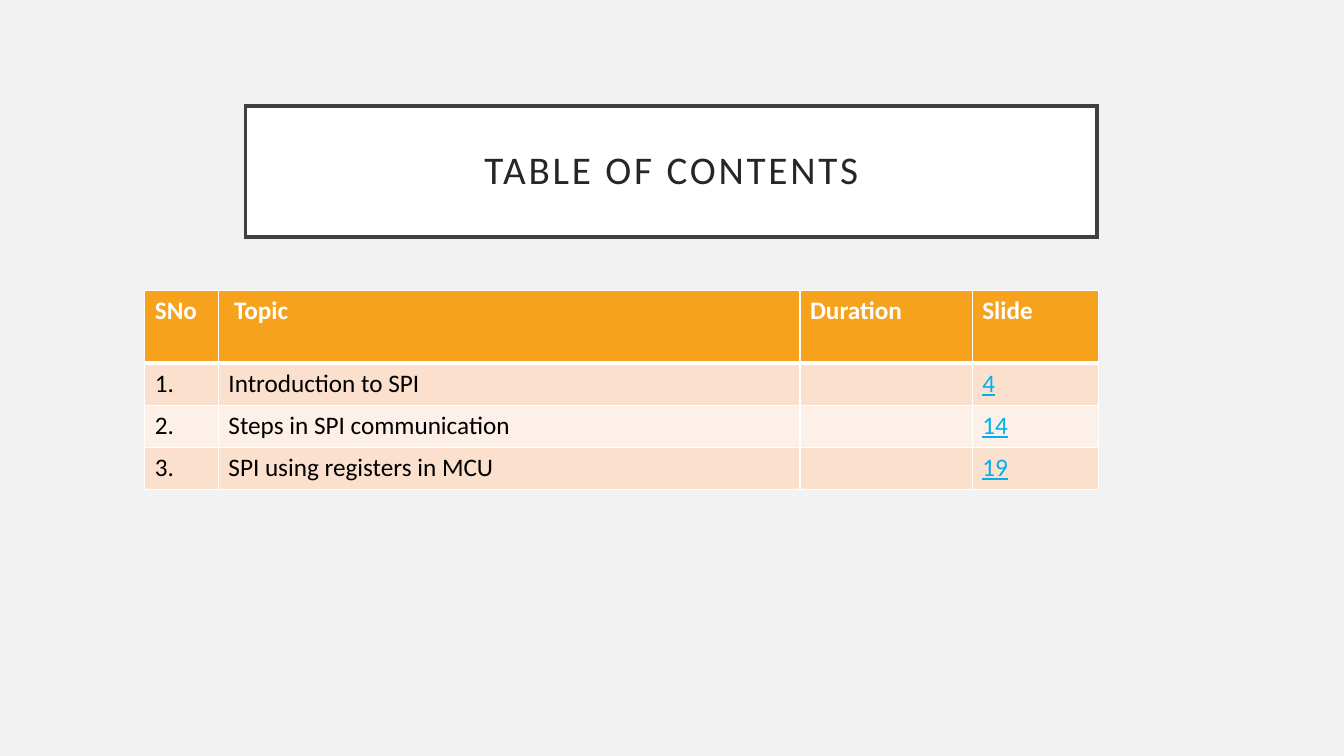
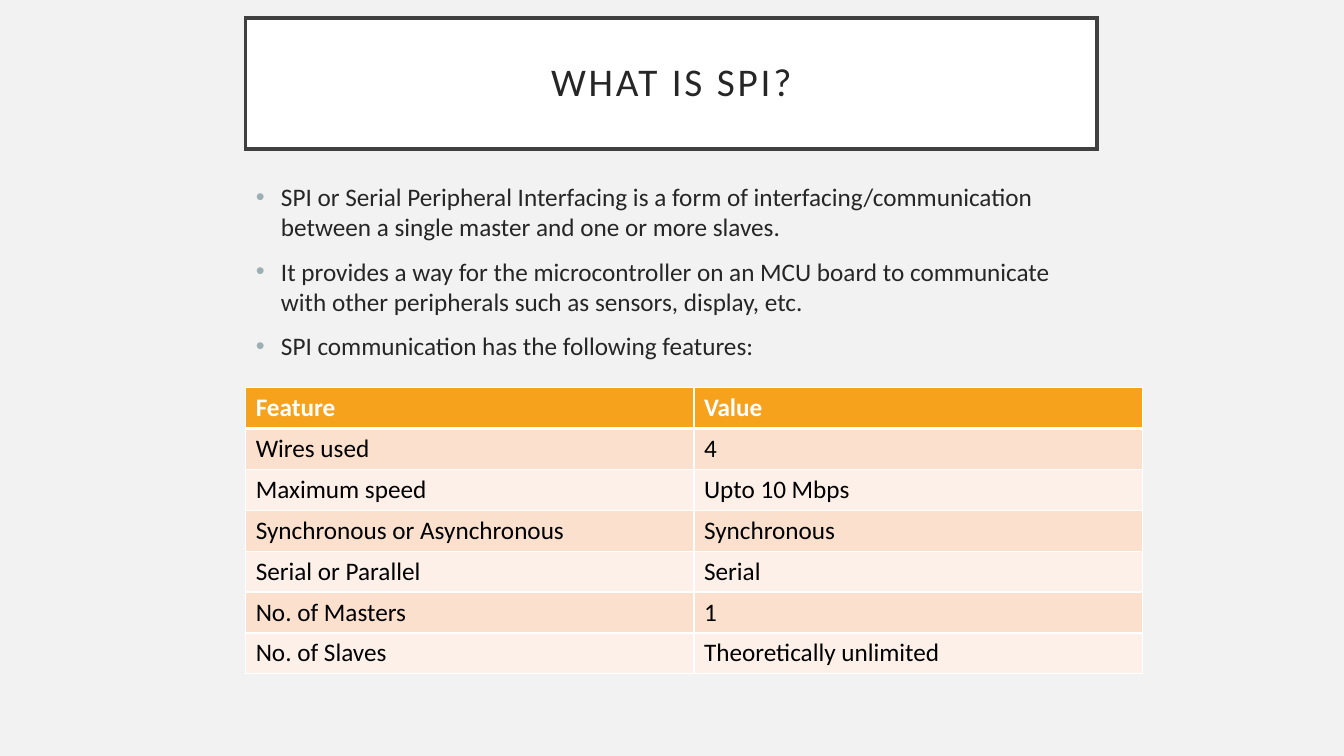
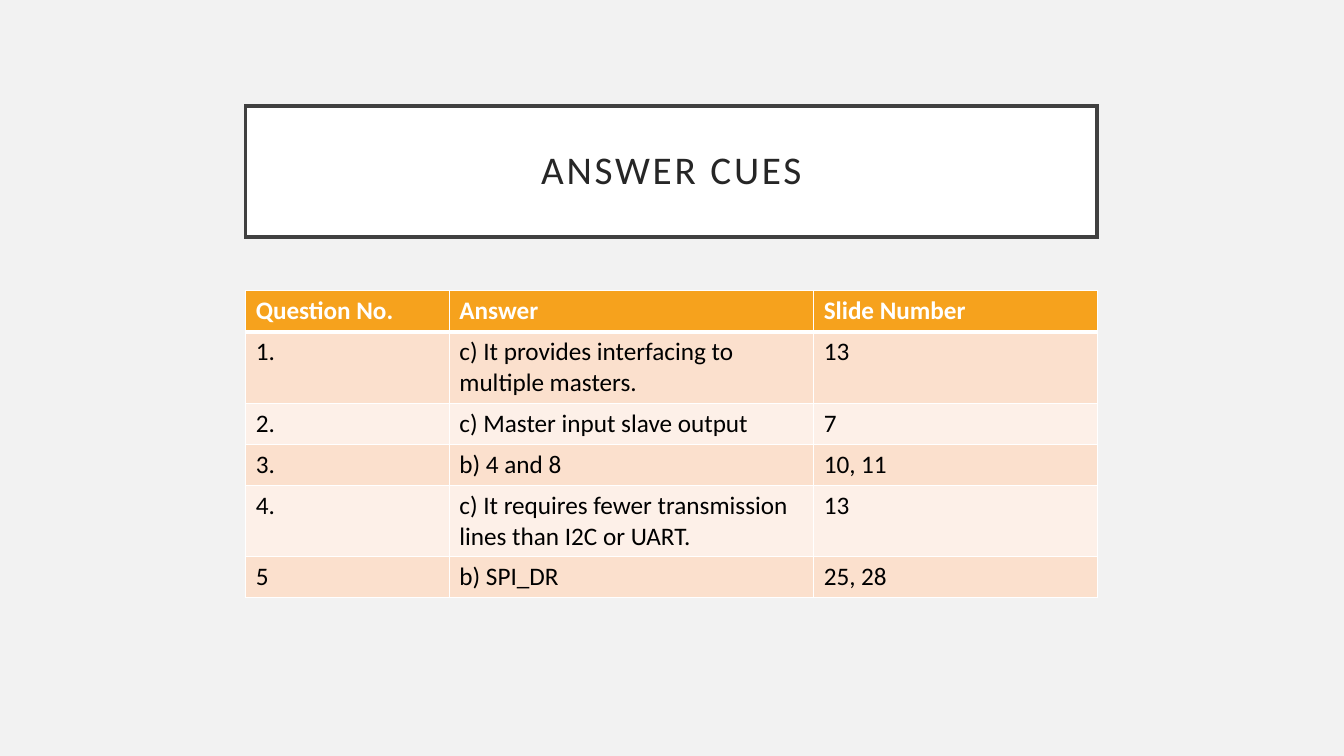
from dataclasses import dataclass
from typing import Any, Optional

from lxml import etree
from pptx import Presentation
from pptx import util as u
from pptx.dml.color import RGBColor
from pptx.enum import text
from pptx.oxml import ns

EMU_PER_PX = 9525


# Theme and content types
@dataclass(frozen=True)
class Theme:
    font: str = "Calibri"
    bullet_font: str = "Arial"
    background: str = "F2F2F2"
    white: str = "FFFFFF"
    frame: str = "404040"
    ink: str = "262626"
    cell_ink: str = "000000"
    bullet: str = "9BAFB5"
    header: str = "F6A21D"
    bands: tuple[str, str] = ("FBE0CD", "FDF0E8")
    page_ref: str = "00B0F0"
    title_size: int = 28
    body_size: int = 18
    title_tracking: int = 2
    frame_width: float = 2.5
    rule: int = 1
    header_rule: int = 3


@dataclass(frozen=True)
class Box:
    left: int
    top: int
    width: int
    height: int


@dataclass(frozen=True)
class Grid:
    left: int
    top: int
    columns: tuple[int, ...]
    rows: tuple[tuple[str, ...], ...]
    header_height: int = 39
    row_height: int = 39
    page_ref_column: Optional[int] = None


@dataclass(frozen=True)
class Page:
    title: str
    grid: Grid
    title_top: int = 101
    points: tuple[str, ...] = ()


THEME = Theme()
LEFT, WIDTH = 234, 811
TITLE_HEIGHT, TITLE_INSET = 125, 19
POINTS_BOX = Box(LEFT, 168, WIDTH, 325)
POINT_INDENT = 24


# Content
PAGES = (
    Page(
        "TABLE OF CONTENTS",
        Grid(138, 277, (70, 554, 164, 120), (
            ("SNo", " Topic", "Duration", "Slide"),
            ("1.", "Introduction to SPI", "", "4"),
            ("2.", "Steps in SPI communication", "", "14"),
            ("3.", "SPI using registers in MCU", "", "19"),
        ), header_height=69, row_height=40, page_ref_column=3),
    ),
    Page(
        "WHAT IS SPI?",
        Grid(LEFT, 369, (427, 427), (
            ("Feature", "Value"),
            ("Wires used", "4"),
            ("Maximum speed", "Upto 10 Mbps"),
            ("Synchronous or Asynchronous", "Synchronous"),
            ("Serial or Parallel", "Serial"),
            ("No. of Masters", "1"),
            ("No. of Slaves", "Theoretically unlimited"),
        )),
        title_top=17,
        points=(
            "SPI or Serial Peripheral Interfacing is a form of interfacing/communication "
            "between a single master and one or more slaves.",
            "It provides a way for the microcontroller on an MCU board to communicate "
            "with other peripherals such as sensors, display, etc.",
            "SPI communication has the following features:",
        ),
    ),
    Page(
        "ANSWER CUES",
        Grid(LEFT, 277, (194, 347, 270), (
            ("Question No.", "Answer", "Slide Number"),
            ("1.", "c) It provides interfacing to multiple masters.", "13"),
            ("2.", "c) Master input slave output", "7"),
            ("3.", "b) 4 and 8", "10, 11"),
            ("4.", "c) It requires fewer transmission lines than I2C or UART.", "13"),
            ("5", "b) SPI_DR", "25, 28"),
        )),
    ),
)


# Helpers
def px(length: int) -> u.Emu:
    return u.Emu(length * EMU_PER_PX)


def rgb(color: str) -> RGBColor:
    return RGBColor.from_string(color)


def place(shape: Any, box: Box) -> None:
    shape.left, shape.top = px(box.left), px(box.top)
    shape.width, shape.height = px(box.width), px(box.height)


def write(paragraph: Any, wording: str, *, color: str, size: int = THEME.body_size,
          bold: bool = False, underline: bool = False, tracking: int = 0,
          align: text.PP_ALIGN = text.PP_ALIGN.LEFT, line_spacing: float = 1.0,
          space_before: int = 0) -> None:
    paragraph.alignment = align
    paragraph.line_spacing = line_spacing
    paragraph.space_before = u.Pt(space_before)
    run = paragraph.add_run()
    run.text = wording
    font = run.font
    font.name, font.size = THEME.font, u.Pt(size)
    font.bold, font.underline = bold, underline
    font.color.rgb = rgb(color)
    if tracking:
        run._r.get_or_add_rPr().set("spc", str(tracking * 100))


def add_bullet(paragraph: Any) -> None:
    properties = paragraph._p.get_or_add_pPr()
    properties.set("marL", str(px(POINT_INDENT)))
    properties.set("indent", str(-px(POINT_INDENT)))
    tint = etree.SubElement(properties, ns.qn("a:buClr"))
    etree.SubElement(tint, ns.qn("a:srgbClr"), val=THEME.bullet)
    etree.SubElement(properties, ns.qn("a:buFont"), typeface=THEME.bullet_font)
    etree.SubElement(properties, ns.qn("a:buChar"), char="•")


def add_borders(cell: Any, top: int, bottom: int) -> None:
    properties = cell._tc.get_or_add_tcPr()
    widths = {"L": THEME.rule, "R": THEME.rule, "T": top, "B": bottom}
    for side, width in widths.items():
        edge = etree.SubElement(properties, ns.qn(f"a:ln{side}"), w=str(u.Pt(width)))
        fill = etree.SubElement(edge, ns.qn("a:solidFill"))
        etree.SubElement(fill, ns.qn("a:srgbClr"), val=THEME.white)


# Slide parts
def draw_title(title: Any, wording: str, top: int) -> None:
    place(title, Box(LEFT, top, WIDTH, TITLE_HEIGHT))
    title.fill.solid()
    title.fill.fore_color.rgb = rgb(THEME.white)
    title.line.color.rgb = rgb(THEME.frame)
    title.line.width = u.Pt(THEME.frame_width)
    outline = title._element.spPr.find(ns.qn("a:ln"))
    etree.SubElement(outline, ns.qn("a:miter"), lim="800000")
    frame = title.text_frame
    frame.auto_size = text.MSO_AUTO_SIZE.NONE
    frame.vertical_anchor = text.MSO_ANCHOR.MIDDLE
    frame.margin_left = frame.margin_right = px(TITLE_INSET)
    frame.margin_top = frame.margin_bottom = px(TITLE_INSET)
    write(frame.paragraphs[0], wording, color=THEME.ink, size=THEME.title_size,
          tracking=THEME.title_tracking, align=text.PP_ALIGN.CENTER, line_spacing=0.9)


def draw_points(body: Any, points: tuple[str, ...]) -> None:
    place(body, POINTS_BOX)
    frame = body.text_frame
    frame.auto_size = text.MSO_AUTO_SIZE.NONE
    frame.vertical_anchor = text.MSO_ANCHOR.TOP
    for index, point in enumerate(points):
        paragraph = frame.add_paragraph() if index else frame.paragraphs[0]
        write(paragraph, point, color=THEME.ink, space_before=10)
        add_bullet(paragraph)


def draw_cell(cell: Any, wording: str, row: int, is_page_ref: bool) -> None:
    is_header = row == 0
    add_borders(cell, top=THEME.header_rule if row == 1 else THEME.rule,
                bottom=THEME.header_rule if is_header else THEME.rule)
    cell.fill.solid()
    cell.fill.fore_color.rgb = rgb(THEME.header if is_header else THEME.bands[(row - 1) % 2])
    if not wording:
        return
    is_page_ref = is_page_ref and not is_header
    color = THEME.white if is_header else THEME.page_ref if is_page_ref else THEME.cell_ink
    write(cell.text_frame.paragraphs[0], wording, color=color, bold=is_header,
          underline=is_page_ref)


def draw_grid(slide: Any, grid: Grid) -> None:
    heights = [grid.header_height] + [grid.row_height] * (len(grid.rows) - 1)
    table = slide.shapes.add_table(
        len(heights), len(grid.columns), px(grid.left), px(grid.top),
        px(sum(grid.columns)), px(sum(heights))).table
    for column, width in zip(table.columns, grid.columns):
        column.width = px(width)
    for row, (height, wordings) in enumerate(zip(heights, grid.rows)):
        table.rows[row].height = px(height)
        for column, wording in enumerate(wordings):
            draw_cell(table.cell(row, column), wording, row, column == grid.page_ref_column)


# Presentation
def main() -> None:
    deck = Presentation()
    deck.slide_width, deck.slide_height = px(1280), px(720)
    background = deck.slide_master.background.fill
    background.solid()
    background.fore_color.rgb = rgb(THEME.background)
    title_and_content = deck.slide_layouts.get_by_name("Title and Content")
    title_only = deck.slide_layouts.get_by_name("Title Only")

    for page in PAGES:
        slide = deck.slides.add_slide(title_and_content if page.points else title_only)
        draw_title(slide.shapes.title, page.title, page.title_top)
        if page.points:
            draw_points(slide.placeholders[1], page.points)
        draw_grid(slide, page.grid)
    deck.save("out.pptx")


if __name__ == "__main__":
    main()
